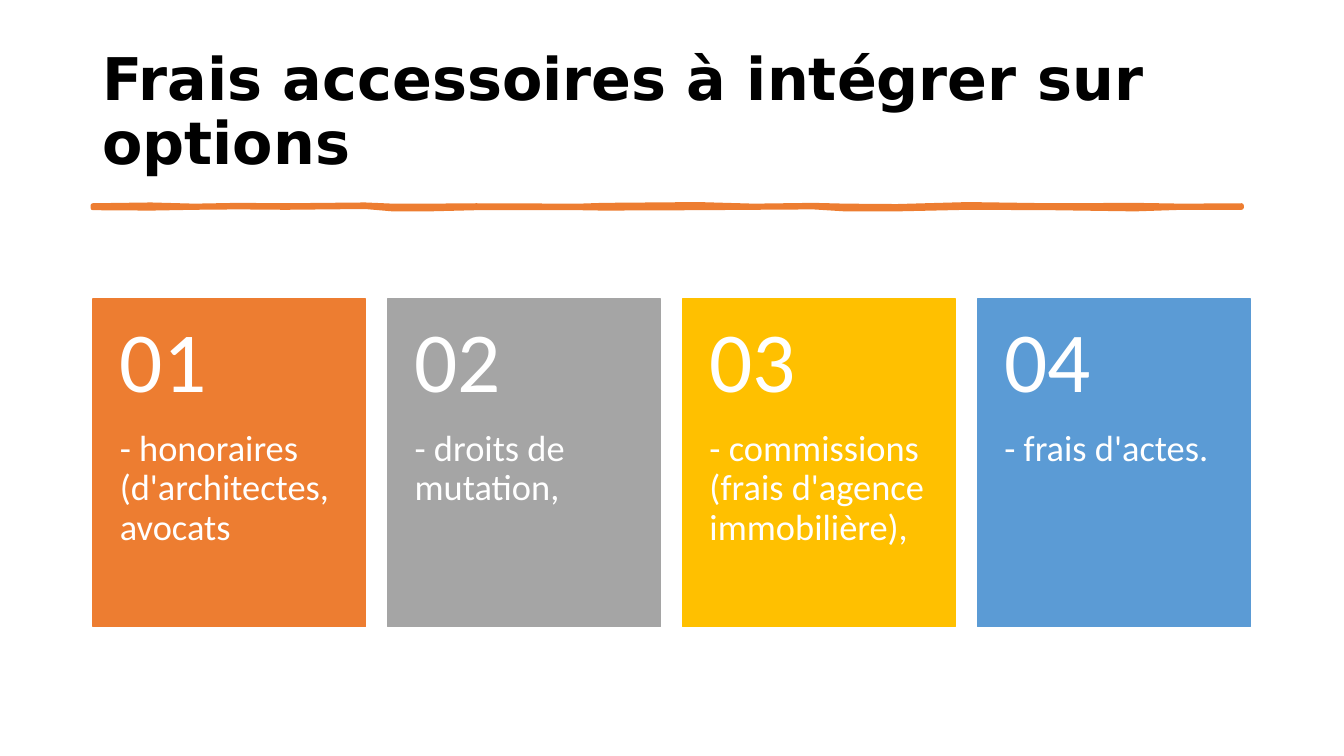
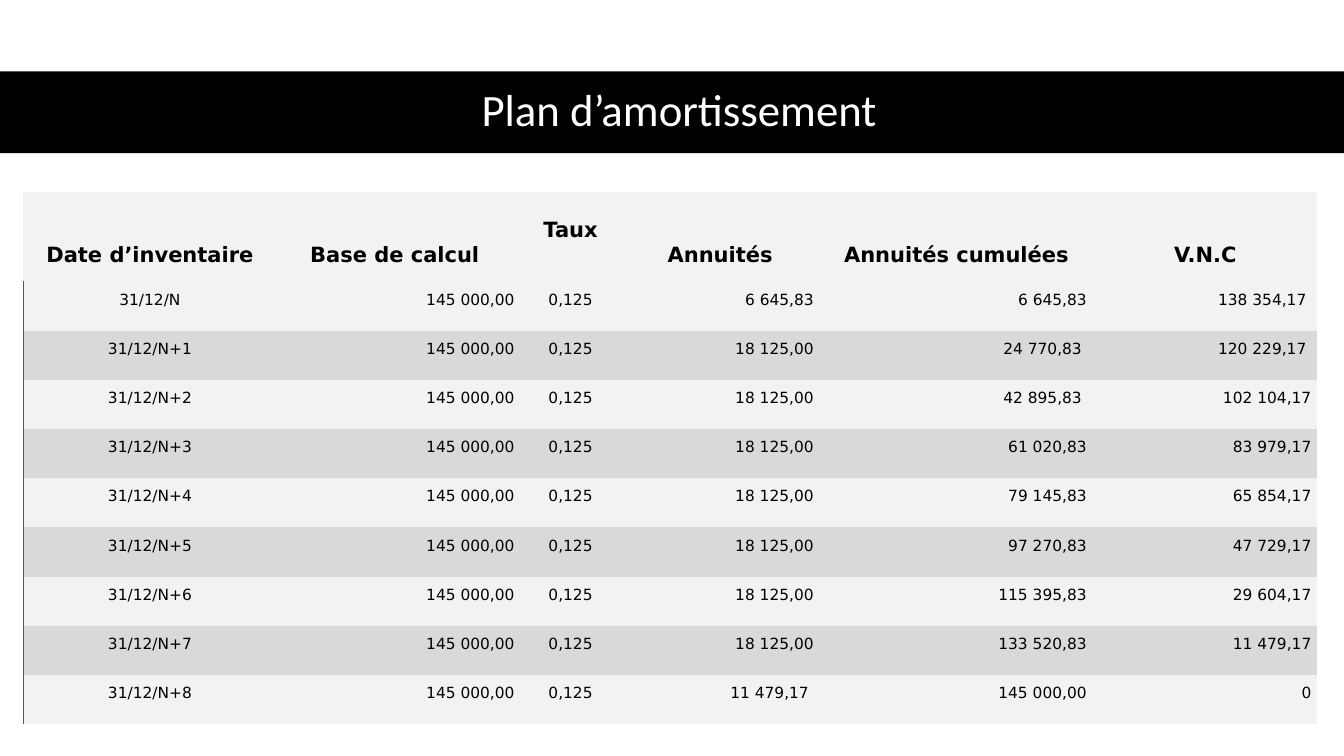
from dataclasses import dataclass

from lxml import etree
from pptx import Presentation
from pptx.dml.color import RGBColor
from pptx.enum import shapes, text
from pptx.oxml import ns
from pptx.util import Cm, Pt


@dataclass(frozen=True)
class Theme:
    black: str = "000000"
    white: str = "FFFFFF"
    orange: str = "ED7D31"
    grey: str = "A5A5A5"
    gold: str = "FFC000"
    blue: str = "5B9BD5"
    row_light: str = "F2F2F2"
    row_dark: str = "D9D9D9"
    border: str = "595959"
    sans: str = "Calibri"
    wide: str = "DejaVu Sans"
    title: int = 42
    band_title: int = 32
    number: int = 61
    label: int = 26
    table_head: int = 15
    table_body: int = 11


T = Theme()
LEFT, CENTER, RIGHT = text.PP_ALIGN.LEFT, text.PP_ALIGN.CENTER, text.PP_ALIGN.RIGHT
TOP, MIDDLE, BOTTOM = (text.MSO_ANCHOR.TOP, text.MSO_ANCHOR.MIDDLE,
                       text.MSO_ANCHOR.BOTTOM)
SLIDE_W, SLIDE_H = 33.87, 19.05
PLAIN_TABLE = "{2D5ABB26-0587-4C30-8999-92F81FD0307C}"

FEES_TITLE = "Frais accessoires à intégrer sur options"
FEES = [
    ("- honoraires (d'architectes, avocats", T.orange),
    ("- droits de mutation,", T.grey),
    ("- commissions (frais d'agence immobilière),", T.gold),
    ("- frais d'actes.", T.blue),
]
# Hand-drawn rule: x, upper edge, lower edge
STROKE = [
    (2.34, 5.18, 5.24), (3.8, 5.16, 5.25), (4.9, 5.19, 5.23),
    (6, 5.17, 5.22), (7.2, 5.18, 5.23), (9.2, 5.16, 5.21),
    (9.9, 5.19, 5.27), (10.8, 5.19, 5.27), (12, 5.18, 5.24),
    (14.6, 5.19, 5.24), (15.2, 5.17, 5.25), (17.6, 5.15, 5.24),
    (19, 5.19, 5.23), (20.5, 5.17, 5.22), (21.3, 5.19, 5.27),
    (22.6, 5.2, 5.27), (24.4, 5.15, 5.23), (26.5, 5.18, 5.24),
    (28.6, 5.17, 5.27), (29.8, 5.19, 5.23), (31.29, 5.18, 5.23),
]

PLAN_TITLE = "Plan d’amortissement"
BASE, RATE = "145 000,00", "0,125"
COLUMNS = [
    ("Date d’inventaire", 6.35, CENTER),
    ("Base de calcul ", 6.17, RIGHT),
    ("Taux", 2.51, CENTER),
    ("Annuités", 5.03, RIGHT),
    ("Annuités cumulées", 6.88, RIGHT),
    ("V.N.C", 5.66, RIGHT),
]
YEARS = [
    ("31/12/N", "6 645,83", "6 645,83", "138 354,17 "),
    ("31/12/N+1", "18 125,00", "24 770,83 ", "120 229,17 "),
    ("31/12/N+2", "18 125,00", "42 895,83 ", "102 104,17"),
    ("31/12/N+3", "18 125,00", "61 020,83", "83 979,17"),
    ("31/12/N+4", "18 125,00", "79 145,83", "65 854,17"),
    ("31/12/N+5", "18 125,00", "97 270,83", "47 729,17"),
    ("31/12/N+6", "18 125,00", "115 395,83", "29 604,17"),
    ("31/12/N+7", "18 125,00", "133 520,83", "11 479,17"),
    ("31/12/N+8", "11 479,17 ", "145 000,00", "0"),
]


def rgb(color):
    return RGBColor.from_string(color)


def paint(sp, fill, line_width=0):
    sp.shadow.inherit = False
    sp.fill.solid()
    sp.fill.fore_color.rgb = rgb(fill)
    if line_width:
        sp.line.color.rgb = rgb(fill)
        sp.line.width = Pt(line_width)
    else:
        sp.line.fill.background()


def rectangle(s, box, fill, line_width=0):
    sp = s.shapes.add_shape(shapes.MSO_SHAPE.RECTANGLE, *map(Cm, box))
    paint(sp, fill, line_width)
    return sp


def style(p, size, color, font, align, bold=False):
    p.alignment = align
    p.font.size, p.font.name, p.font.bold = Pt(size), font, bold
    p.font.color.rgb = rgb(color)


def set_margins(target, margins):
    (target.margin_left, target.margin_top,
     target.margin_right, target.margin_bottom) = map(Cm, margins)


def write(sp, words, size, color, font=T.sans, align=LEFT, anchor=MIDDLE,
          margins=(0.25, 0.13, 0.25, 0.13), bold=False):
    tf = sp.text_frame
    tf.word_wrap = True
    tf.vertical_anchor = anchor
    set_margins(tf, margins)
    p = tf.paragraphs[0]
    p.text = words
    p.line_spacing = 0.9
    style(p, size, color, font, align, bold)


def textbox(s, box, *args, **kwargs):
    write(s.shapes.add_textbox(*map(Cm, box)), *args, **kwargs)


def draw_stroke(s):
    upper = [(Cm(x), Cm(y)) for x, y, _ in STROKE]
    lower = [(Cm(x), Cm(y)) for x, _, y in reversed(STROKE)]
    outline = s.shapes.build_freeform(*upper[0])
    outline.add_line_segments(upper[1:] + lower, close=True)
    paint(outline.convert_to_shape(), T.orange, 3.25)


def fees_slide(s):
    textbox(s, (2.33, 1.02, 29.21, 3.68), FEES_TITLE, T.title, T.black,
            font=T.wide, bold=True)
    draw_stroke(s)
    left, top, width, height = 2.34, 7.54, 6.88, 8.25
    pitch, number_h, side = width * 1.08, height * 0.4, 0.68
    for i, (label, color) in enumerate(FEES):
        x = left + i * pitch
        card = rectangle(s, (x, top, width, height), color, 1)
        write(card, label, T.label, T.white, anchor=TOP,
              margins=(side, number_h, side, 0.91))
        textbox(s, (x, top, width, number_h), f"{i + 1:02}", T.number, T.white,
                margins=(side, 0.46, side, 0.46))


def left_border(cell):
    tc_pr = cell._tc.get_or_add_tcPr()
    ln = etree.Element(ns.qn("a:lnL"), w=str(Pt(0.75)))
    fill = etree.SubElement(ln, ns.qn("a:solidFill"))
    etree.SubElement(fill, ns.qn("a:srgbClr"), val=T.border)
    tc_pr.insert(0, ln)


def fill_cell(cell, words, fill, size, align, anchor, bold=False, bottom=0.36):
    cell.fill.solid()
    cell.fill.fore_color.rgb = rgb(fill)
    cell.vertical_anchor = anchor
    set_margins(cell, (0.18, 0.05, 0.13, bottom))
    p = cell.text_frame.paragraphs[0]
    p.text = words
    style(p, size, T.black, T.wide, align, bold)


def plan_slide(s):
    rectangle(s, (0, 1.8, SLIDE_W, 2.06), T.black)
    textbox(s, (1.55, 1.78, 31.14, 2.06), PLAN_TITLE, T.band_title, T.white,
            align=CENTER)

    head_h, row_h = 2.26, 1.24
    width = sum(w for _, w, _ in COLUMNS)
    frame = s.shapes.add_table(len(YEARS) + 1, len(COLUMNS), Cm(0.58), Cm(4.83),
                               Cm(width), Cm(head_h + row_h * len(YEARS)))
    table = frame.table
    table._tbl.tblPr.find(ns.qn("a:tableStyleId")).text = PLAIN_TABLE
    for row in table.rows:
        row.height = Cm(row_h)
    table.rows[0].height = Cm(head_h)

    for c, (heading, col_w, _) in enumerate(COLUMNS):
        table.columns[c].width = Cm(col_w)
        fill_cell(table.cell(0, c), heading, T.row_light, T.table_head, CENTER,
                  BOTTOM, bold=True, bottom=0.98 if heading == "Taux" else 0.36)
    for r, (date, *amounts) in enumerate(YEARS, 1):
        fill = T.row_light if r % 2 else T.row_dark
        for c, value in enumerate((date, BASE, RATE, *amounts)):
            fill_cell(table.cell(r, c), value, fill, T.table_body,
                      COLUMNS[c][2], MIDDLE)
        left_border(table.cell(r, 0))


def main():
    prs = Presentation()
    prs.slide_width, prs.slide_height = Cm(SLIDE_W), Cm(SLIDE_H)
    for build in (fees_slide, plan_slide):
        build(prs.slides.add_slide(prs.slide_layouts[6]))
    prs.save("out.pptx")


if __name__ == "__main__":
    main()
